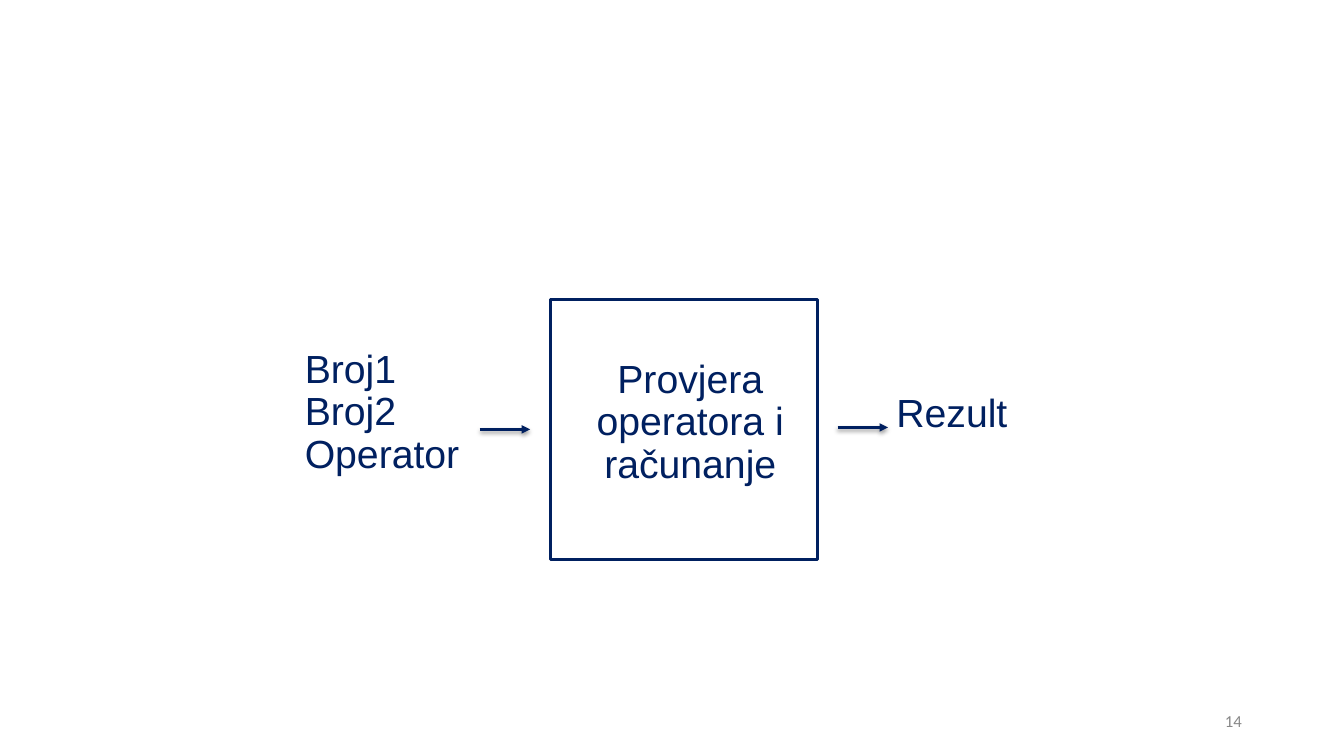
"""Build a slide showing the input, processing and result of a calculator."""
from lxml.etree import SubElement
from pptx import Presentation
from pptx.dml.color import RGBColor
from pptx.enum.shapes import MSO_CONNECTOR, MSO_SHAPE
from pptx.enum.text import MSO_ANCHOR, PP_ALIGN
from pptx.oxml import parse_xml
from pptx.oxml.ns import nsdecls, qn
from pptx.util import Pt

COLORS = {"navy": "002060", "gray": "888888", "shadow": "000000"}
LABELS = [
    ("Broj1\vBroj2\vOperator", (201.6, 246.2, 178.6, 121), PP_ALIGN.LEFT),
    ("Provjera operatora i računanje", (393.1, 253.4, 190.8, 121), PP_ALIGN.CENTER),
    ("Rezult", (624.2, 277.9, 178.6, 56.9), PP_ALIGN.LEFT),
]
PAGE_NUMBER = ("14", (678.2, 500.4, 216, 28.8))
PROCESS_BOX = (393.1, 213.8, 190.8, 185.8)
ARROWS = [(342.7, 306.7), (598.3, 305.3)]
ARROW_LENGTH = 36
LINE_WIDTH = 2
LABEL_INDENT = 9
SHADOW = (
    f'<a:effectLst {nsdecls("a")}>'
    f'<a:outerShdw blurRad="{Pt(3.1)}" dist="{Pt(1.6)}" dir="5400000" rotWithShape="0">'
    f'<a:srgbClr val="{COLORS["shadow"]}"><a:alpha val="38000"/></a:srgbClr>'
    "</a:outerShdw></a:effectLst>"
)


def rgb(name):
    return RGBColor.from_string(COLORS[name])


def set_line(sp):
    sp.line.color.rgb = rgb("navy")
    sp.line.width = Pt(LINE_WIDTH)


def add_text(s, text, place, align, font, size, color):
    tf = s.shapes.add_textbox(*map(Pt, place)).text_frame
    tf.word_wrap = True
    tf.text = text
    p = tf.paragraphs[0]
    p.alignment = align
    for r in p.runs:
        r.font.name = font
        r.font.size = Pt(size)
        r.font.color.rgb = rgb(color)
    return tf


def add_label(s, text, place, align):
    p = add_text(s, text, place, align, "Arial", 28, "navy").paragraphs[0]
    p.line_spacing = 0.9
    pPr = p._p.get_or_add_pPr()
    pPr.set("marL", str(Pt(LABEL_INDENT)))
    pPr.set("indent", "0")


def add_arrow(s, x, y):
    sp = s.shapes.add_connector(
        MSO_CONNECTOR.STRAIGHT, Pt(x), Pt(y), Pt(x + ARROW_LENGTH), Pt(y))
    set_line(sp)
    SubElement(sp.line._get_or_add_ln(), qn("a:tailEnd"), type="triangle")
    sp._element.spPr.append(parse_xml(SHADOW))


def main():
    prs = Presentation()
    prs.slide_width, prs.slide_height = Pt(960), Pt(540)
    s = prs.slides.add_slide(prs.slide_layouts[6])

    tf = add_text(s, *PAGE_NUMBER, PP_ALIGN.RIGHT, "Calibri", 12, "gray")
    tf.vertical_anchor = MSO_ANCHOR.MIDDLE

    sp = s.shapes.add_shape(MSO_SHAPE.RECTANGLE, *map(Pt, PROCESS_BOX))
    sp.shadow.inherit = False
    sp.fill.background()
    set_line(sp)

    for label in LABELS:
        add_label(s, *label)
    for arrow in ARROWS:
        add_arrow(s, *arrow)
    prs.save("out.pptx")


if __name__ == "__main__":
    main()
